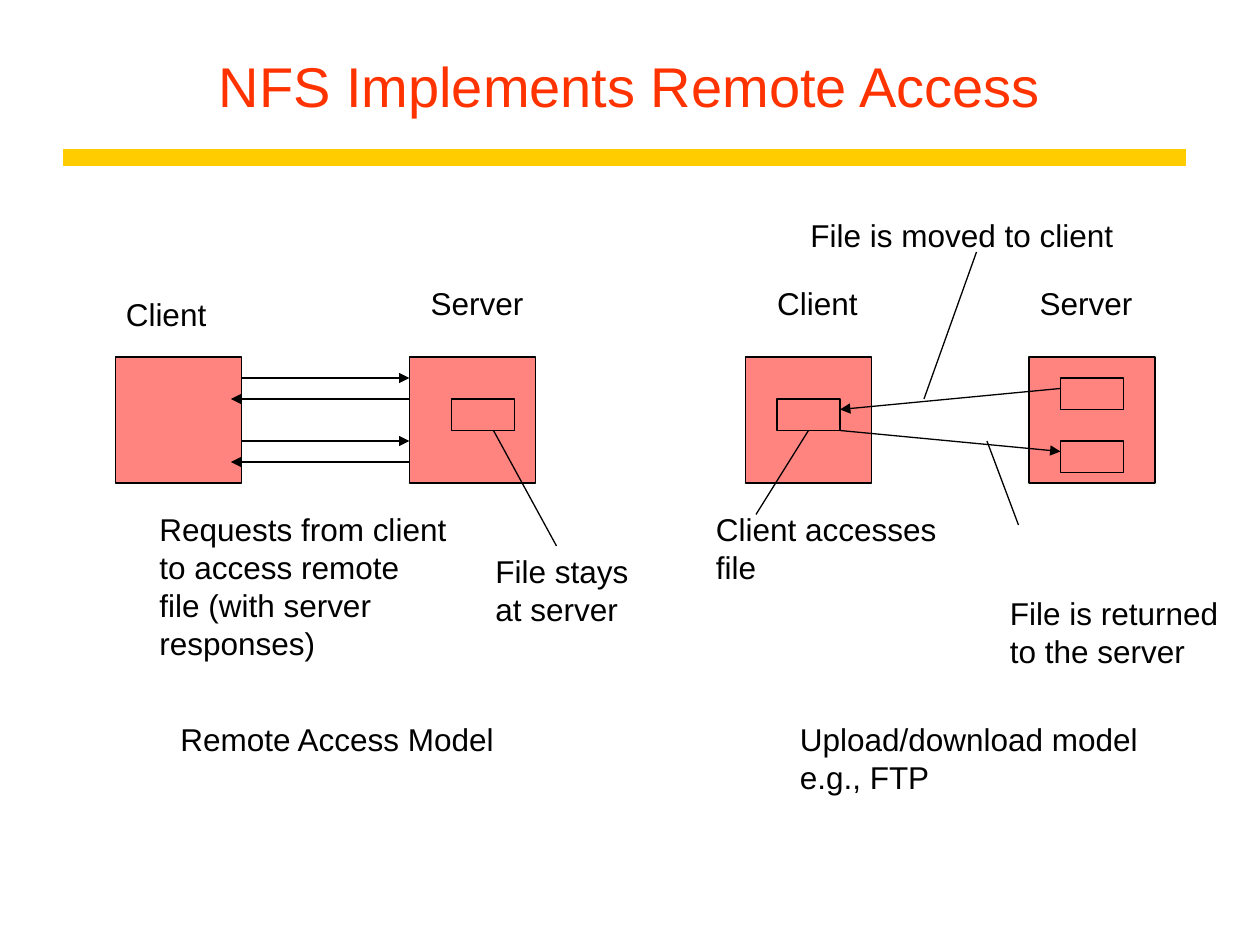
from lxml.etree import SubElement
from pptx import Presentation
from pptx.dml.color import RGBColor
from pptx.enum.shapes import MSO_CONNECTOR as LINE, MSO_SHAPE as SHAPE
from pptx.enum.text import MSO_ANCHOR as ANCHOR, MSO_AUTO_SIZE as FIT, PP_ALIGN as ALIGN
from pptx.oxml.ns import qn
from pptx.util import Pt

BLACK = RGBColor(0x00, 0x00, 0x00)
RED = RGBColor(0xFF, 0x33, 0x00)
GOLD = RGBColor(0xFF, 0xCC, 0x00)
SALMON = RGBColor(0xFF, 0x84, 0x7F)

TITLE = "NFS Implements Remote Access"
HOST_TOP, HOST_SIZE = 204, 72
HOST_LEFTS = [66, 234, 426, 588]
FILE_SIZE = (36, 18)
SERVER_FILES = [(258, 228), (606, 216), (606, 252)]
CLIENT_FILE = (444, 228)

REQUEST_TOPS = [216, 252]
RESPONSE_TOPS = [228, 264]
TRANSFERS = [((606, 222), (480, 234)), ((480, 246), (606, 258))]
POINTERS = [
    ((282, 246), (318, 312)),
    ((558, 144), (528, 228)),
    ((582, 300), (564, 252)),
]
ACCESS_NOTE = (432, 294)

LABELS = [
    (64.8, 165, 62, ["Client"]),
    (239, 159, 69, ["Server"]),
    (437, 159, 62, ["Client"]),
    (587, 159, 69, ["Server"]),
    (84, 288, 181, ["Requests from client", "to access remote", "file (with server", "responses)"]),
    (276, 312, 92, ["File stays", "at server"]),
    (456, 120, 190, ["File is moved to client"]),
    (402, 288, 143, ["Client accesses", "file"]),
    (570, 336, 135, ["File is returned", "to the server"]),
    (96, 408, 197, ["Remote Access Model"]),
    (450, 408, 210, ["Upload/download model", "e.g., FTP"]),
]
LINE_HEIGHT, LABEL_PADDING = 21.6, 7.2


def apply(target, formats):
    for name, value in formats.items():
        setattr(target, name, value)


def write(frame, lines, size, color, **paragraph_formats):
    frame.text = "\n".join(lines)
    for paragraph in frame.paragraphs:
        apply(paragraph, paragraph_formats)
        apply(paragraph.font, {"name": "Arial", "size": Pt(size)})
        paragraph.font.color.rgb = color


def add_box(shapes, left, top, width, height, fill=None):
    box = shapes.add_shape(SHAPE.RECTANGLE, Pt(left), Pt(top), Pt(width), Pt(height))
    box.shadow.inherit = False
    if fill is None:
        box.fill.background()
    else:
        box.fill.solid()
        box.fill.fore_color.rgb = fill
    box.line.color.rgb = BLACK
    box.line.width = Pt(0.75)
    return box


def add_line(shapes, start, end, color=BLACK, width=0.75, arrow=False):
    line = shapes.add_connector(LINE.STRAIGHT, *map(Pt, start + end))
    line.line.color.rgb = color
    line.line.width = Pt(width)
    if arrow:
        SubElement(line.line._get_or_add_ln(), qn("a:tailEnd"), type="triangle")
    SubElement(line._element.spPr, qn("a:effectLst"))
    return line


def add_label(shapes, left, top, width, lines):
    height = len(lines) * LINE_HEIGHT + LABEL_PADDING
    label = shapes.add_textbox(Pt(left), Pt(top), Pt(width), Pt(height))
    apply(label.text_frame, {"word_wrap": False, "auto_size": FIT.SHAPE_TO_FIT_TEXT})
    write(label.text_frame, lines, 18, BLACK, alignment=ALIGN.LEFT)


def main():
    deck = Presentation()
    apply(deck, {"slide_width": Pt(720), "slide_height": Pt(540)})
    shapes = deck.slides.add_slide(deck.slide_layouts[5]).shapes

    title = shapes.title
    apply(title, {"left": Pt(36), "top": Pt(12), "width": Pt(648), "height": Pt(60)})
    apply(title.text_frame, {"vertical_anchor": ANCHOR.BOTTOM, "auto_size": FIT.NONE})
    write(title.text_frame, [TITLE], 32, RED, alignment=ALIGN.CENTER, line_spacing=0.9)
    add_line(shapes, (36, 90), (678, 90), GOLD, 10)

    for left in HOST_LEFTS:
        add_box(shapes, left, HOST_TOP, HOST_SIZE, HOST_SIZE, SALMON)
    for corner in SERVER_FILES:
        add_box(shapes, *corner, *FILE_SIZE)
    client_file = add_box(shapes, *CLIENT_FILE, *FILE_SIZE)

    client_edge, server_edge = HOST_LEFTS[0] + HOST_SIZE, HOST_LEFTS[1]
    requests = [((client_edge, top), (server_edge, top)) for top in REQUEST_TOPS]
    responses = [((server_edge, top), (client_edge - 6, top)) for top in RESPONSE_TOPS]
    for start, end in requests + responses + TRANSFERS:
        add_line(shapes, start, end, arrow=True)
    for start, end in POINTERS:
        add_line(shapes, start, end)
    add_line(shapes, ACCESS_NOTE, (462, 246)).end_connect(client_file, 2)

    for label in LABELS:
        add_label(shapes, *label)
    deck.save("out.pptx")


if __name__ == "__main__":
    main()
